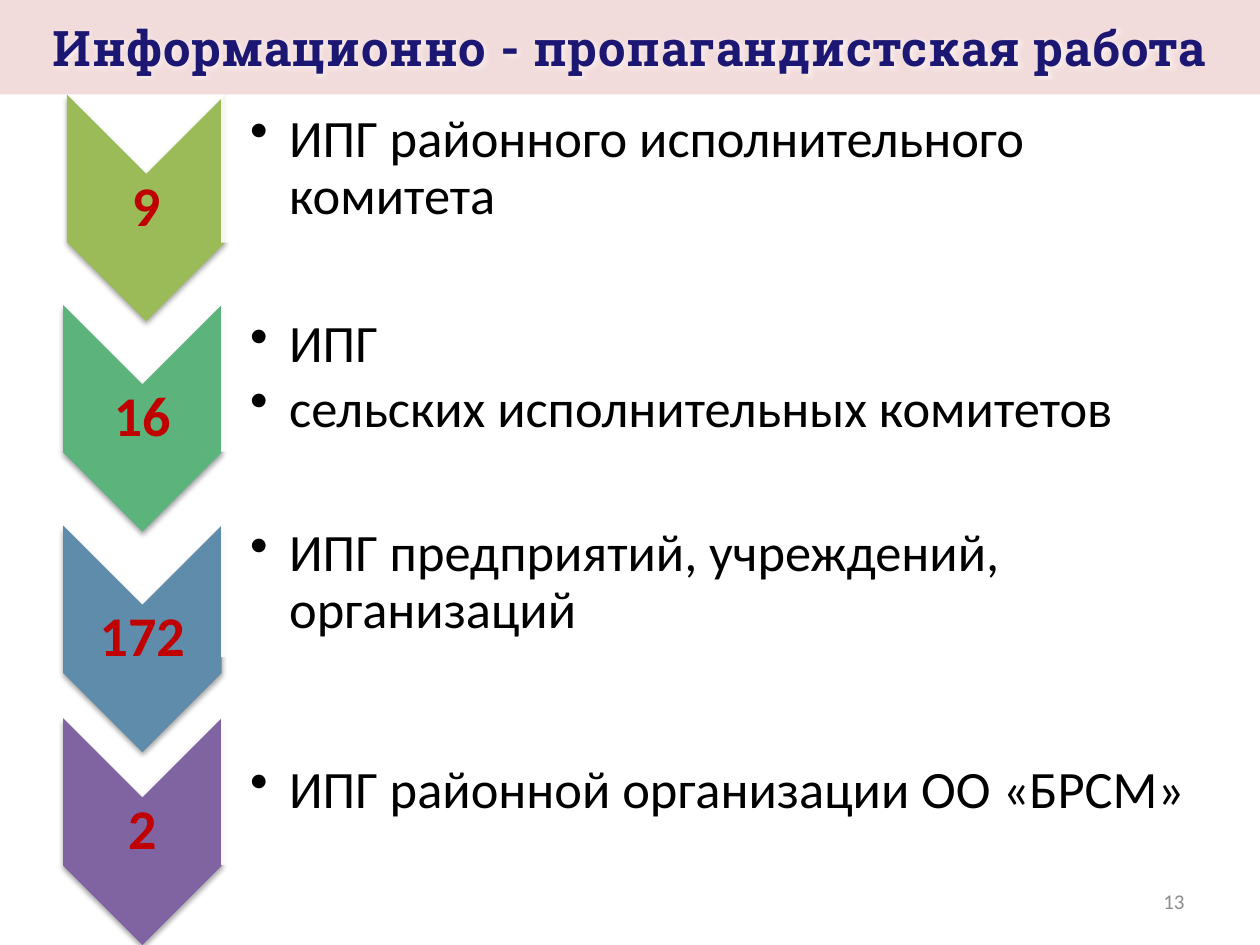
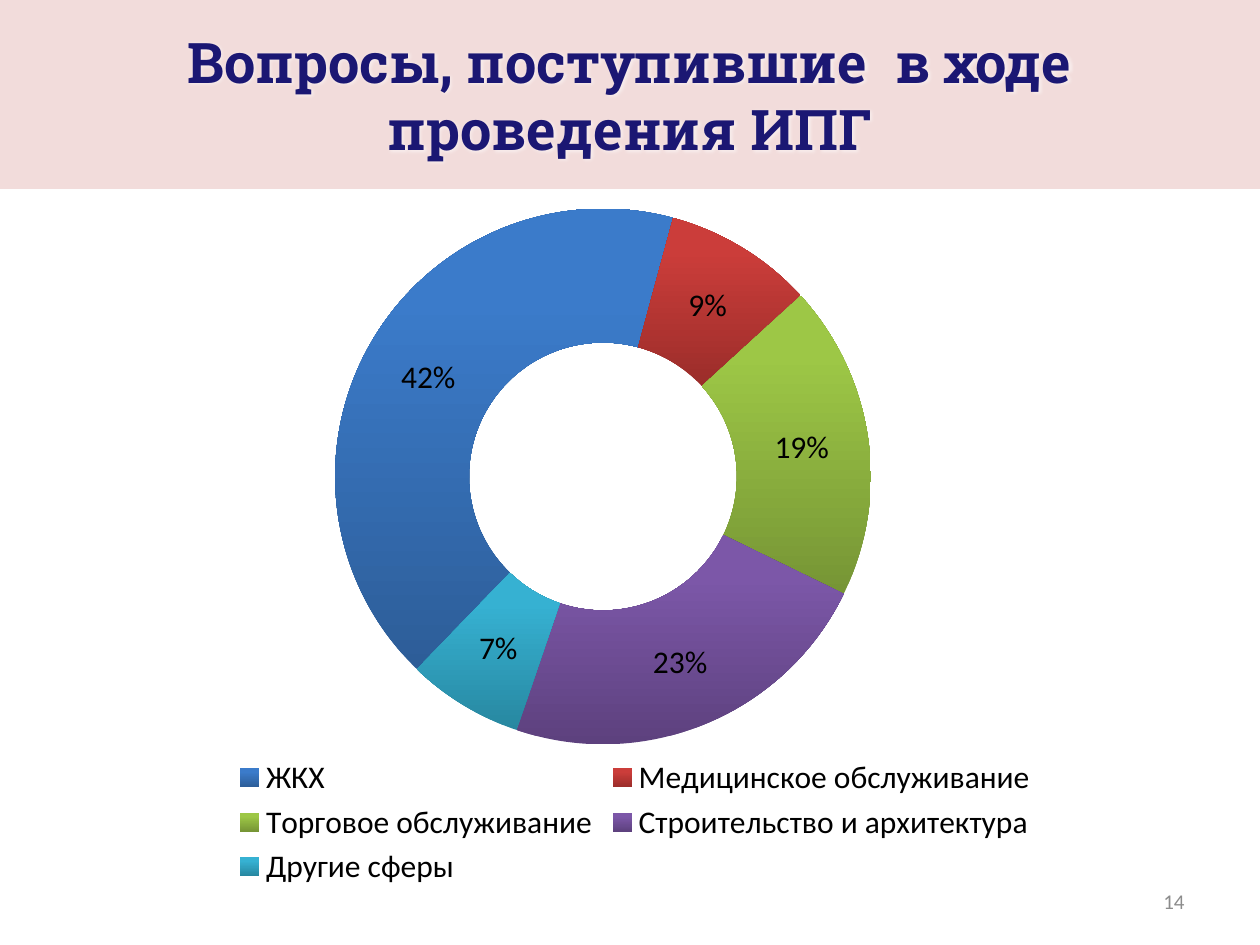
from dataclasses import dataclass

from lxml import etree
from pptx import Presentation
from pptx.chart.data import CategoryChartData
from pptx.dml.color import RGBColor
from pptx.enum.chart import XL_CHART_TYPE, XL_LEGEND_POSITION
from pptx.enum.shapes import MSO_SHAPE
from pptx.enum.text import MSO_ANCHOR, PP_ALIGN
from pptx.oxml import parse_xml
from pptx.oxml.ns import nsdecls, qn
from pptx.util import Inches, Pt

LEFT, CENTER, RIGHT = PP_ALIGN.LEFT, PP_ALIGN.CENTER, PP_ALIGN.RIGHT
MIDDLE = MSO_ANCHOR.MIDDLE
CHEVRON, PANEL, BAND = MSO_SHAPE.CHEVRON, MSO_SHAPE.ROUND_2_SAME_RECTANGLE, MSO_SHAPE.RECTANGLE
DOUGHNUT = XL_CHART_TYPE.DOUGHNUT
LEGEND_BOTTOM = XL_LEGEND_POSITION.BOTTOM

# Content
GROUPS_TITLE = "Информационно - пропагандистская работа"
# number, colour, chevron centre (x, y), text panel centre y, bullets
GROUPS = [
    ("9", "9BBB59", (1.16, 1.65), 1.34, ["ИПГ районного исполнительного комитета"]),
    ("16", "5CB37C", (1.13, 3.32), 3.00, ["ИПГ", "сельских исполнительных комитетов"]),
    ("172", "608CAB", (1.13, 5.07), 4.63, ["ИПГ предприятий, учреждений, организаций"]),
    ("2", "8064A2", (1.13, 6.60), 6.28, ["ИПГ районной организации ОО «БРСМ»"]),
]
QUESTIONS_TITLE = "Вопросы, поступившие  в ходе проведения ИПГ"
# topic, share in percent, dark and light ends of the slice colour
QUESTIONS = [
    ("ЖКХ", 42, "2D5D98", "3B7BCA"),
    ("Медицинское обслуживание", 9, "9B2D2A", "CB3D3A"),
    ("Торговое обслуживание", 19, "769535", "9DC746"),
    ("Строительство и архитектура", 23, "5D417E", "7C57A8"),
    ("Другие сферы", 7, "2787A0", "36B1D2"),
]
FIRST_PAGE = 13


@dataclass(frozen=True)
class Theme:
    body_font: str = "Calibri"
    title_font: str = "Roboto Slab"
    band: str = "F2DCDB"
    title: str = "1B1773"
    number: str = "C00000"
    text: str = "000000"
    panel: str = "FFFFFF"
    footer: str = "8C8C8C"
    number_size: int = 32
    bullet_size: int = 30
    chart_size: int = 18
    footer_size: int = 12


THEME = Theme()
WIDTH, HEIGHT = 10, 7.5
CHEVRON_SIZE = (1.8, 1.26)
PANEL_SIZE = (1.17, 7.99)
PANEL_CENTER = 5.75
BULLET_SIZE = (7.93, 1.06)
BULLET_INDENT = 0.31


def centered(center, size):
    """Left, top, width and height of a box around a centre point."""
    return (center[0] - size[0] / 2, center[1] - size[1] / 2, *size)


def inches(place):
    return [Inches(length) for length in place]


def write(box, lines, *, size, color, font=THEME.body_font, bold=False, align=LEFT,
          insets=None, bullets=False, line_spacing=None, gap=0, tracking=0, glow=False):
    frame = box.text_frame
    frame.word_wrap = True
    frame.vertical_anchor = MIDDLE
    if insets:
        (frame.margin_left, frame.margin_top,
         frame.margin_right, frame.margin_bottom) = inches(insets)
    for index, line in enumerate(lines):
        para = frame.paragraphs[0] if index == 0 else frame.add_paragraph()
        if bullets:
            properties = para._p.get_or_add_pPr()
            properties.set("marL", str(Inches(BULLET_INDENT)))
            properties.set("indent", str(-Inches(BULLET_INDENT)))
            etree.SubElement(properties, qn("a:buChar")).set("char", "•")
        para.alignment = align
        if line_spacing:
            para.line_spacing = line_spacing
        if index:
            para.space_before = Pt(gap)
        span = para.add_run()
        span.text = line
        span.font.size = Pt(size)
        span.font.bold = bold
        span.font.color.rgb = RGBColor.from_string(color)
        span.font.name = font
        run_properties = span._r.get_or_add_rPr()
        if tracking:
            run_properties.set("spc", str(int(tracking * 100)))
        if glow:
            run_properties.find(qn("a:solidFill")).addnext(parse_xml(
                f'<a:effectLst {nsdecls("a")}><a:glow rad="{Pt(4)}"><a:srgbClr val="FFFFFF">'
                '<a:alpha val="50000"/></a:srgbClr></a:glow></a:effectLst>'))


def add_text(page, place, lines, **style):
    write(page.shapes.add_textbox(*inches(place)), lines, **style)


def add_block(page, kind, place, color, rotation=0):
    block = page.shapes.add_shape(kind, *inches(place))
    block.rotation = rotation
    block.shadow.inherit = False
    block.fill.solid()
    block.fill.fore_color.rgb = RGBColor.from_string(color)
    block.line.fill.background()
    return block


def drop_shadow(block):
    effects = block._element.spPr.find(qn("a:effectLst"))
    effects.append(parse_xml(
        f'<a:outerShdw {nsdecls("a")} blurRad="{Pt(3.1)}" dist="{Pt(1.8)}" dir="5400000" '
        'rotWithShape="0"><a:srgbClr val="000000"><a:alpha val="35000"/></a:srgbClr>'
        '</a:outerShdw>'))


def set_opacity(block, percent):
    color = block._element.spPr.find(qn("a:solidFill"))[0]
    etree.SubElement(color, qn("a:alpha")).set("val", str(percent * 1000))


def add_frame(page, number, title, band_height, size, tracking=0):
    """Title band and page number, shared by all slides."""
    band = add_block(page, BAND, (0, 0, WIDTH, band_height), THEME.band)
    write(band, [title], size=size, color=THEME.title, font=THEME.title_font,
          bold=True, align=CENTER, tracking=tracking, glow=True)
    add_text(page, (7.17, 6.95, 2.33, 0.4), [str(number)], size=THEME.footer_size,
             color=THEME.footer, align=RIGHT)


def add_group(page, number, color, chevron_center, panel_y, bullets):
    chevron = add_block(page, CHEVRON, centered(chevron_center, CHEVRON_SIZE), color, 90)
    drop_shadow(chevron)
    add_text(page, centered(chevron_center, (1.26, 0.54)), [number],
             size=THEME.number_size, color=THEME.number, bold=True, align=CENTER,
             insets=[0.02] * 4, line_spacing=0.9)
    panel_center = (PANEL_CENTER, panel_y)
    panel = add_block(page, PANEL, centered(panel_center, PANEL_SIZE), THEME.panel, 90)
    set_opacity(panel, 90)
    add_text(page, centered((PANEL_CENTER - 0.03, panel_y), BULLET_SIZE), bullets,
             size=THEME.bullet_size, color=THEME.text, bullets=True,
             insets=(0.23, 0.02, 0.02, 0.02), line_spacing=0.9, gap=4.5)


def add_questions_chart(page, place):
    topics, shares, *_ = zip(*QUESTIONS)
    data = CategoryChartData(number_format="General")
    data.categories = topics
    data.add_series("Series 1", shares)
    chart = page.shapes.add_chart(DOUGHNUT, *inches(place), data).chart
    chart.has_title = False
    chart.font.name = THEME.body_font
    chart.font.size = Pt(THEME.chart_size)
    chart.font.color.rgb = RGBColor.from_string(THEME.text)
    chart.has_legend = True
    chart.legend.position = LEGEND_BOTTOM
    chart.legend.include_in_layout = False

    plot = chart.plots[0]
    plot.has_data_labels = True
    labels = plot.data_labels
    labels.show_value = True
    labels.show_percentage = False
    labels.number_format = '0"%"'
    labels.number_format_is_linked = False
    for index, (_, _, *ends) in enumerate(QUESTIONS):
        fill = plot.series[0].points[index].format.fill
        fill.gradient()
        fill.gradient_angle = 90
        for stop, color, position in zip(fill.gradient_stops, ends, (0, 0.8)):
            stop.color.rgb = RGBColor.from_string(color)
            stop.position = position

    ring = plot._element
    for tag, value in (("c:firstSliceAng", 224), ("c:holeSize", 51)):
        ring.find(qn(tag)).set("val", str(value))
    area = ring.getparent()
    for layout in area.findall(qn("c:layout")):
        area.remove(layout)
    sides = zip("xywh", (0.233, 0.028, 0.477, 0.762))
    area.insert(0, parse_xml(
        f'<c:layout {nsdecls("c")}><c:manualLayout><c:layoutTarget val="inner"/>'
        '<c:xMode val="edge"/><c:yMode val="edge"/>'
        + "".join(f'<c:{side} val="{share}"/>' for side, share in sides)
        + '</c:manualLayout></c:layout>'))


def main():
    deck = Presentation()
    deck.slide_width, deck.slide_height = inches((WIDTH, HEIGHT))
    blank = deck.slide_layouts[6]

    page = deck.slides.add_slide(blank)
    for group in GROUPS:
        add_group(page, *group)
    add_frame(page, FIRST_PAGE, GROUPS_TITLE, HEIGHT / 10, 28, tracking=0.5)

    page = deck.slides.add_slide(blank)
    add_questions_chart(page, (0.58, HEIGHT / 5, 8.92, 5.58))
    add_frame(page, FIRST_PAGE + 1, QUESTIONS_TITLE, HEIGHT / 5, 32)

    deck.save("out.pptx")


if __name__ == "__main__":
    main()
